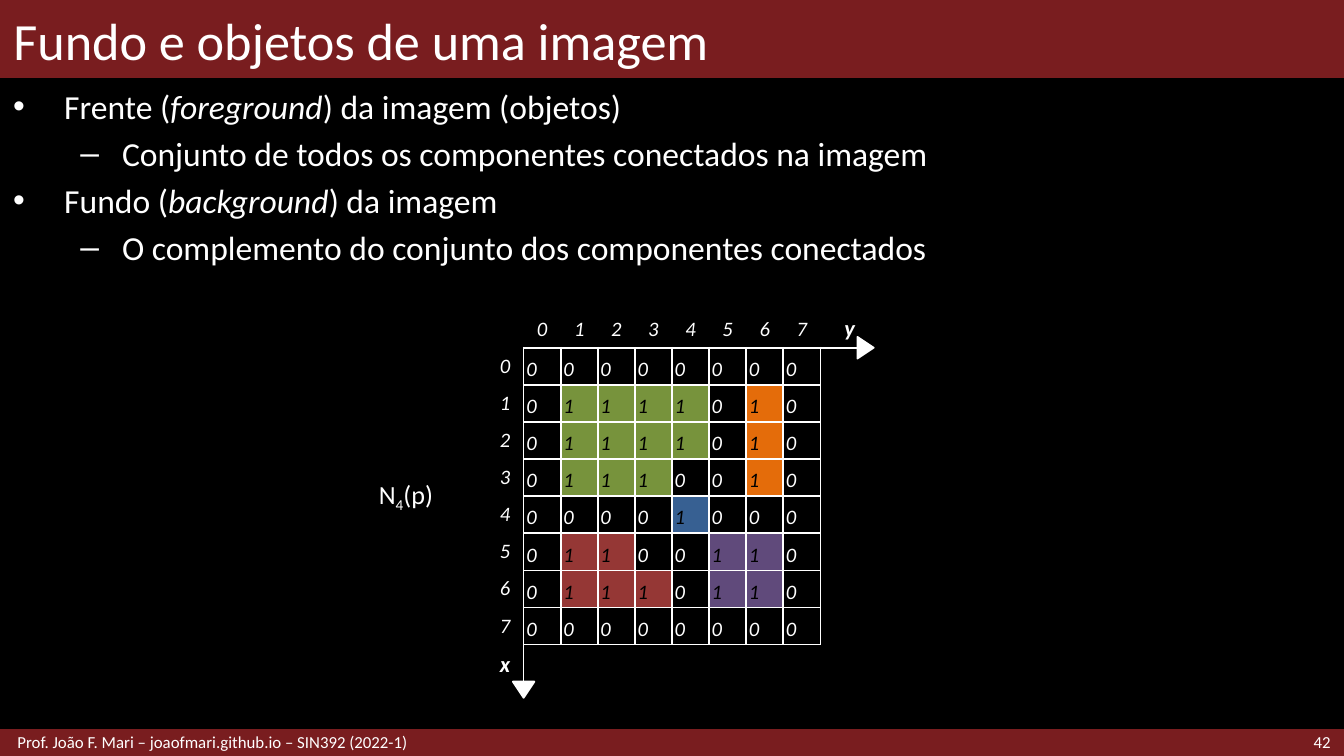
"""Build the slide on the background and objects of a binary image."""
from lxml.etree import SubElement
from pptx import Presentation
from pptx.dml.color import RGBColor
from pptx.enum.shapes import MSO_SHAPE
from pptx.enum.text import MSO_ANCHOR, MSO_AUTO_SIZE, PP_ALIGN
from pptx.oxml.ns import qn
from pptx.util import Inches, Pt

COLORS = {"bar": "791D1F", "black": "000000", "white": "FFFFFF", "G": "77933C",
          "O": "E46C0A", "B": "376092", "R": "953735", "P": "604A7B"}
RGB = {name: RGBColor.from_string(value) for name, value in COLORS.items()}
PIXELS = ["........", ".GGGG.O.", ".GGGG.O.", ".GGG..O.",
          "....B...", ".RR..PP.", ".RRR.PP.", "........"]
N = len(PIXELS)


def add_run(p, text, color="white", **fmt):
    r = p.add_run()
    r.text = text
    r.font.color.rgb = RGB[color]
    for name, value in {"name": "Calibri", **fmt}.items():
        setattr(r.font, name, value)
    return r


def has_line(i, j):
    return 1 <= i <= N + 1 and 1 <= j <= N or (i, j) == (1, N + 1)


prs = Presentation()
W = Inches(10)
H = W * 9 // 16
prs.slide_width, prs.slide_height = W, H
s = prs.slides.add_slide(prs.slide_layouts[5])
top, foot = int(H * 0.105), int(H * 0.963)
side = N + 2
cell_size = Inches(2.76) // side
left, grid_top = int(W * 0.362), int(H * 0.411)
x0, y0 = left + cell_size, grid_top + cell_size

shapes = [
    (MSO_SHAPE.RECTANGLE, 0, 0, W, top, 0, "bar"),
    (MSO_SHAPE.RECTANGLE, 0, foot, W, H - foot, 0, "bar"),
    (MSO_SHAPE.RECTANGLE, 0, top, W, foot - top, 0, "black"),
]
tip_w, tip_h = Inches(0.16), Inches(0.12)
tips = [(left + side * cell_size + tip_h // 2, y0, 90),
        (x0, grid_top + side * cell_size + tip_h // 2, 180)]
for cx, cy, angle in tips:
    shapes.append((MSO_SHAPE.ISOSCELES_TRIANGLE, cx - tip_w // 2, cy - tip_h // 2,
                   tip_w, tip_h, angle, "white"))
drawn = []
for kind, x, y, w, h, angle, color in shapes:
    sp = s.shapes.add_shape(kind, x, y, w, h)
    sp.shadow.inherit = False
    sp.rotation = angle
    sp.fill.solid()
    sp.fill.fore_color.rgb = sp.line.color.rgb = RGB[color]
    sp.line.width = Pt(1)
    drawn.append(sp)

title = s.shapes.title
title.left, title.top, title.width, title.height = 0, 0, W, top
drawn[0]._element.addnext(title._element)
tf = title.text_frame
tf.vertical_anchor = MSO_ANCHOR.MIDDLE
tf.auto_size = MSO_AUTO_SIZE.NONE
p = tf.paragraphs[0]
p.alignment = PP_ALIGN.LEFT
add_run(p, "Fundo e objetos de uma imagem", size=Pt(28))

bullets = [
    (0, ["Frente (", "foreground", ") da imagem (objetos)"]),
    (1, ["Conjunto de todos os componentes conectados na imagem"]),
    (0, ["Fundo (", "background", ") da imagem"]),
    (1, ["O complemento do conjunto dos componentes conectados"]),
]
tf = drawn[2].text_frame
tf.word_wrap, tf.vertical_anchor = True, MSO_ANCHOR.TOP
for i, (level, parts) in enumerate(bullets):
    p = tf.add_paragraph() if i else tf.paragraphs[0]
    p.level, p.alignment = level, PP_ALIGN.LEFT
    p.space_before = Pt(3.6 if i else 0)
    char, margin, indent = [("•", 0.38, -0.38), ("–", 0.81, -0.31)][level]
    pPr = p._p.get_or_add_pPr()
    pPr.set("marL", str(Inches(margin)))
    pPr.set("indent", str(Inches(indent)))
    SubElement(pPr, qn("a:buFont"), typeface="Arial")
    SubElement(pPr, qn("a:buChar"), char=char)
    for j, part in enumerate(parts):
        add_run(p, part, size=Pt(18), italic=j == 1)

small = Pt(9)
labels = [
    (W * 0.886, foot, W * 0.114, H - foot, PP_ALIGN.RIGHT, True, 0.1, small, ["42"]),
    (0, foot, W * 0.689, H - foot, PP_ALIGN.LEFT, True, 0.13, small,
     ["Prof. João F. Mari – joaofmari.github.io – SIN392 (2022-1)"]),
    (W * 0.272, H * 0.626, W * 0.062, H * 0.06, PP_ALIGN.LEFT, False, 0.1, Pt(14),
     ["N", "4", "(p)"]),
]
for x, y, w, h, align, wrap, margin, size, parts in labels:
    tf = s.shapes.add_textbox(int(x), int(y), int(w), int(h)).text_frame
    tf.word_wrap, tf.vertical_anchor = wrap, MSO_ANCHOR.MIDDLE
    tf.margin_left = Inches(margin)
    p = tf.paragraphs[0]
    p.alignment = align
    for j, part in enumerate(parts):
        r = add_run(p, part, size=size)
        if j == 1:
            r.font._element.set("baseline", "-25000")

frame = s.shapes.add_table(side, side, left, grid_top, side * cell_size, side * cell_size)
tbl = frame.table
tbl.first_row = tbl.horz_banding = False
for k in range(side):
    tbl.columns[k].width = tbl.rows[k].height = cell_size
heads = ["", *map(str, range(N))]
for row in range(side):
    for col in range(side):
        cell = tbl.cell(row, col)
        for edge in ("left", "right", "top", "bottom"):
            setattr(cell, f"margin_{edge}", Inches(0.02))
        tcPr = cell._tc.get_or_add_tcPr()
        lines = {"L": has_line(col, row), "R": has_line(col + 1, row),
                 "T": has_line(row, col), "B": has_line(row + 1, col)}
        for edge, visible in lines.items():
            ln = SubElement(tcPr, qn(f"a:ln{edge}"), w=str(Pt(1)))
            fill = SubElement(ln, qn("a:solidFill" if visible else "a:noFill"))
            if visible:
                SubElement(fill, qn("a:srgbClr"), val=COLORS["white"])
        cell.fill.background()
        p = cell.text_frame.paragraphs[0]
        p._p.get_or_add_endParaRPr().set("sz", "1100")
        cell.vertical_anchor = MSO_ANCHOR.MIDDLE
        p.alignment = PP_ALIGN.CENTER
        text, color, fmt = "", "white", {"size": Pt(11), "italic": True}
        if 1 <= row <= N and 1 <= col <= N:
            code = PIXELS[row - 1][col - 1]
            text = "0"
            cell.vertical_anchor, p.alignment = MSO_ANCHOR.BOTTOM, PP_ALIGN.LEFT
            if code in RGB:
                text, color = "1", "black"
                cell.fill.solid()
                cell.fill.fore_color.rgb = RGB[code]
        elif 0 in (row, col) and max(row, col) <= N:
            text = heads[max(row, col)]
        elif 0 in (row, col):
            text = "x" if col == 0 else "y"
            fmt.update(size=Pt(12), bold=True)
            if col == 0:
                cell.vertical_anchor = MSO_ANCHOR.BOTTOM
            else:
                p.alignment = PP_ALIGN.RIGHT
        if text:
            add_run(p, text, color, **fmt)

prs.save("out.pptx")
